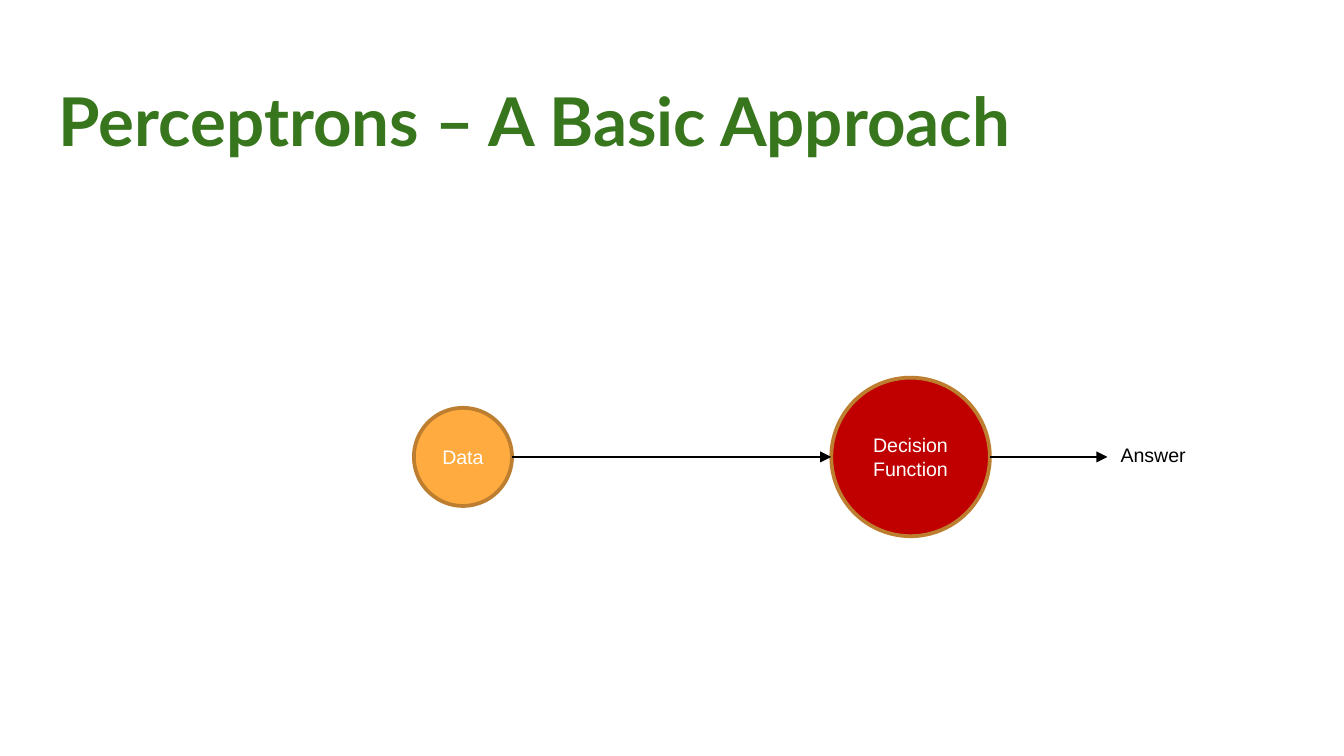
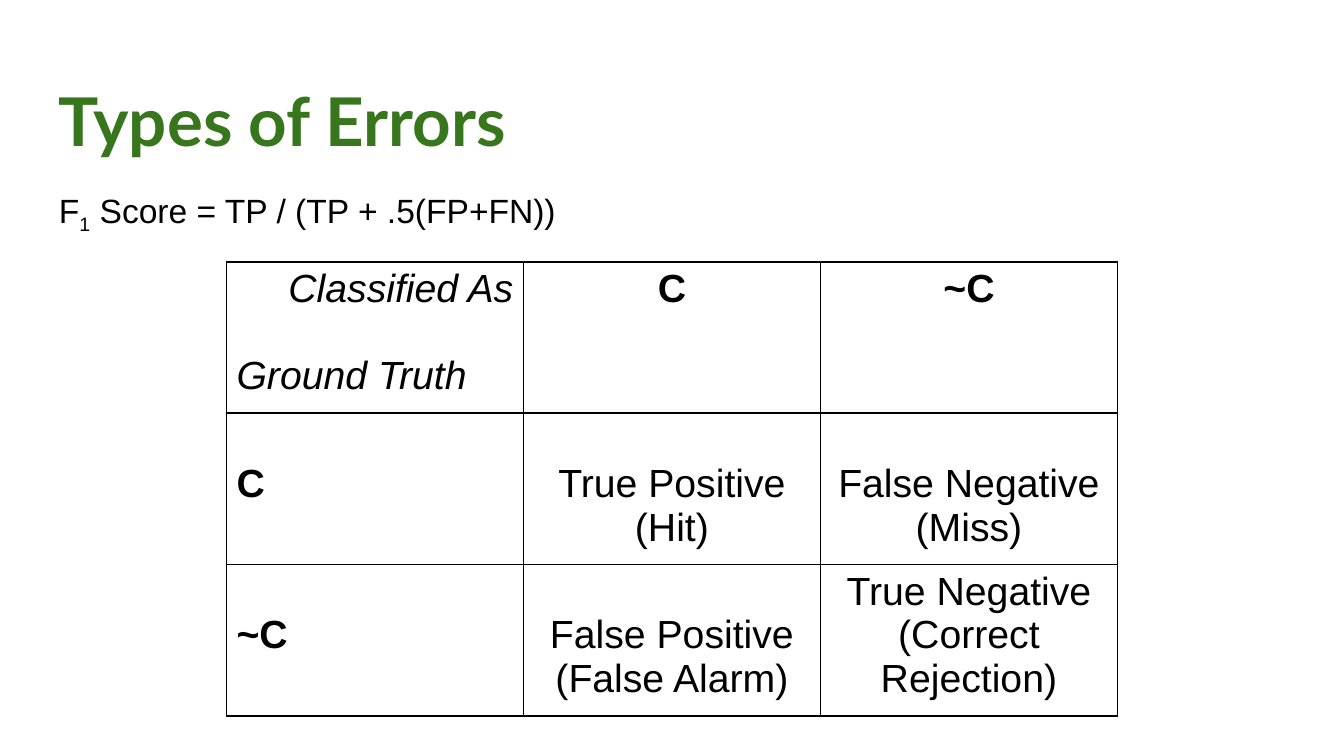
import dataclasses

import pptx
import pptx.dml.color
import pptx.enum.shapes
import pptx.enum.text
import pptx.oxml
import pptx.oxml.ns
import pptx.util

PX = 4572
ALIGN = pptx.enum.text.PP_ALIGN
ANCHOR = pptx.enum.text.MSO_ANCHOR
SHAPE = pptx.enum.shapes.MSO_SHAPE
CONNECTOR = pptx.enum.shapes.MSO_CONNECTOR


@dataclasses.dataclass(frozen=True)
class Theme:
    title: str = "38761D"
    text: str = "000000"
    light: str = "FFFFFF"
    outline: str = "BD7F2F"
    data: str = "FFAB40"
    decision: str = "C00000"
    title_font: str = "Lato"
    body_font: str = "Arial"
    title_size: float = 36
    body_size: float = 18
    table_size: float = 21
    table_line: float = 23
    label_size: float = 10.5


@dataclasses.dataclass(frozen=True)
class Box:
    x: int
    y: int
    w: int
    h: int

    @property
    def right(self):
        return self.x + self.w

    @property
    def middle(self):
        return self.y + self.h // 2

    def emu(self):
        return [px(v) for v in (self.x, self.y, self.w, self.h)]


THEME = Theme()
SLIDE = Box(0, 0, 2000, 1125)
TITLE = Box(68, 98, 1864, 126)
BODY = Box(68, 252, 1864, 748)
DIAGRAM = Box(616, 562, 1170, 236)
MATRIX = Box(337, 390, 1326, 676)


def px(value):
    return pptx.util.Emu(value * PX)


def rgb(value):
    return pptx.dml.color.RGBColor.from_string(value)


def style(p, size, color=THEME.text, font=THEME.body_font, bold=False, italic=False):
    for r in p.runs:
        r.font.size = pptx.util.Pt(size)
        r.font.name = font
        r.font.color.rgb = rgb(color)
        r.font.bold = bold
        r.font.italic = italic


def add_text_box(slide, box, inset=20):
    tf = slide.shapes.add_textbox(*box.emu()).text_frame
    tf.word_wrap = True
    tf.margin_left = tf.margin_right = px(inset)
    tf.margin_top = tf.margin_bottom = px(inset)
    return tf


def add_title(slide, box, text):
    tf = add_text_box(slide, box)
    tf.text = text
    style(tf.paragraphs[0], THEME.title_size, THEME.title, THEME.title_font, bold=True)


def add_node(slide, box, text, fill):
    sp = slide.shapes.add_shape(SHAPE.OVAL, *box.emu())
    sp.shadow.inherit = False
    sp.fill.solid()
    sp.fill.fore_color.rgb = rgb(fill)
    sp.line.color.rgb = rgb(THEME.outline)
    sp.line.width = pptx.util.Pt(2)
    tf = sp.text_frame
    tf.word_wrap = True
    tf.vertical_anchor = ANCHOR.MIDDLE
    tf.text = text
    p = tf.paragraphs[0]
    p.alignment = ALIGN.CENTER
    style(p, THEME.label_size, THEME.light)


def add_arrow(slide, x1, x2, y):
    line = slide.shapes.add_connector(CONNECTOR.STRAIGHT, px(x1), px(y), px(x2), px(y))
    line.line.color.rgb = rgb(THEME.text)
    line.line.width = pptx.util.Pt(0.75)
    tail = pptx.oxml.parse_xml(f'<a:tailEnd {pptx.oxml.ns.nsdecls("a")} type="triangle"/>')
    line.line._get_or_add_ln().append(tail)
    effects = pptx.oxml.parse_xml(f'<a:effectLst {pptx.oxml.ns.nsdecls("a")}/>')
    line._element.spPr.append(effects)


def add_perceptron(slide, box):
    data = Box(box.x, box.y + 45, 146, 146)
    decision = Box(box.x + 621, box.y, box.h, box.h)
    answer = Box(box.right - 138, box.y + 88, 138, 56)
    add_node(slide, decision, "Decision Function", THEME.decision)
    tf = slide.shapes.add_textbox(*answer.emu()).text_frame
    tf.word_wrap = False
    tf.auto_size = pptx.enum.text.MSO_AUTO_SIZE.SHAPE_TO_FIT_TEXT
    tf.text = "Answer"
    style(tf.paragraphs[0], THEME.label_size)
    add_arrow(slide, decision.right, answer.x, decision.middle)
    add_node(slide, data, "Data", THEME.data)
    add_arrow(slide, data.right, decision.x, decision.middle)


def add_score(slide, box):
    p = add_text_box(slide, box).paragraphs[0]
    p.line_spacing = 1.15
    for text, baseline in (("F", 0), ("1", -25000), (" Score = TP / (TP + .5(FP+FN))", 0)):
        r = p.add_run()
        r.text = text
        if baseline:
            r._r.get_or_add_rPr().set("baseline", str(baseline))
    style(p, THEME.body_size)


def add_borders(cell):
    for side in ("lnL", "lnR", "lnT", "lnB"):
        cell._tc.get_or_add_tcPr().append(pptx.oxml.parse_xml(
            f'<a:{side} {pptx.oxml.ns.nsdecls("a")} w="12700"><a:solidFill>'
            f'<a:srgbClr val="{THEME.text}"/></a:solidFill></a:{side}>'))


def fill_cell(cell, lines, align=ALIGN.CENTER, lead=0, **look):
    add_borders(cell)
    cell.fill.background()
    cell.margin_left = cell.margin_right = px(15)
    cell.margin_top = px(8 + lead)
    cell.margin_bottom = px(8)
    tf = cell.text_frame
    tf.text = "\n".join(lines)
    for p in tf.paragraphs:
        p.alignment = align
        style(p, THEME.table_size, **look)


def add_matrix(slide, box):
    classes = ("C", "~C")
    outcomes = (
        (("True Positive", "(Hit)"), ("False Negative", "(Miss)")),
        (("False Positive", "(False Alarm)"), ("True Negative", "(Correct Rejection)")),
    )
    size = len(classes) + 1
    table = slide.shapes.add_table(size, size, *box.emu()).table
    table.first_row = table.horz_banding = False
    for column in table.columns:
        column.width = px(box.w // size)
    for i, row in enumerate(table.rows):
        row.height = px(box.h * (i + 1) // size - box.h * i // size)
    corner = table.cell(0, 0)
    fill_cell(corner, ("Classified As", "Ground Truth"), ALIGN.LEFT, italic=True)
    predicted, truth = corner.text_frame.paragraphs
    predicted.alignment = ALIGN.RIGHT
    truth.space_before = pptx.util.Pt(THEME.table_line)
    blank_line = 65
    for i, name in enumerate(classes, 1):
        fill_cell(table.cell(0, i), (name,), bold=True)
        fill_cell(table.cell(i, 0), (name,), ALIGN.LEFT, blank_line, bold=True)
        for j, lines in enumerate(outcomes[i - 1], 1):
            lead = 0 if i == j == len(classes) else blank_line
            fill_cell(table.cell(i, j), lines, lead=lead)


def add_slide(prs, title):
    slide = prs.slides.add_slide(prs.slide_layouts[6])
    add_title(slide, TITLE, title)
    return slide


def main():
    prs = pptx.Presentation()
    prs.slide_width = px(SLIDE.w)
    prs.slide_height = px(SLIDE.h)
    add_perceptron(add_slide(prs, "Perceptrons – A Basic Approach"), DIAGRAM)
    errors = add_slide(prs, "Types of Errors")
    add_score(errors, BODY)
    add_matrix(errors, MATRIX)
    prs.save("out.pptx")


if __name__ == "__main__":
    main()
